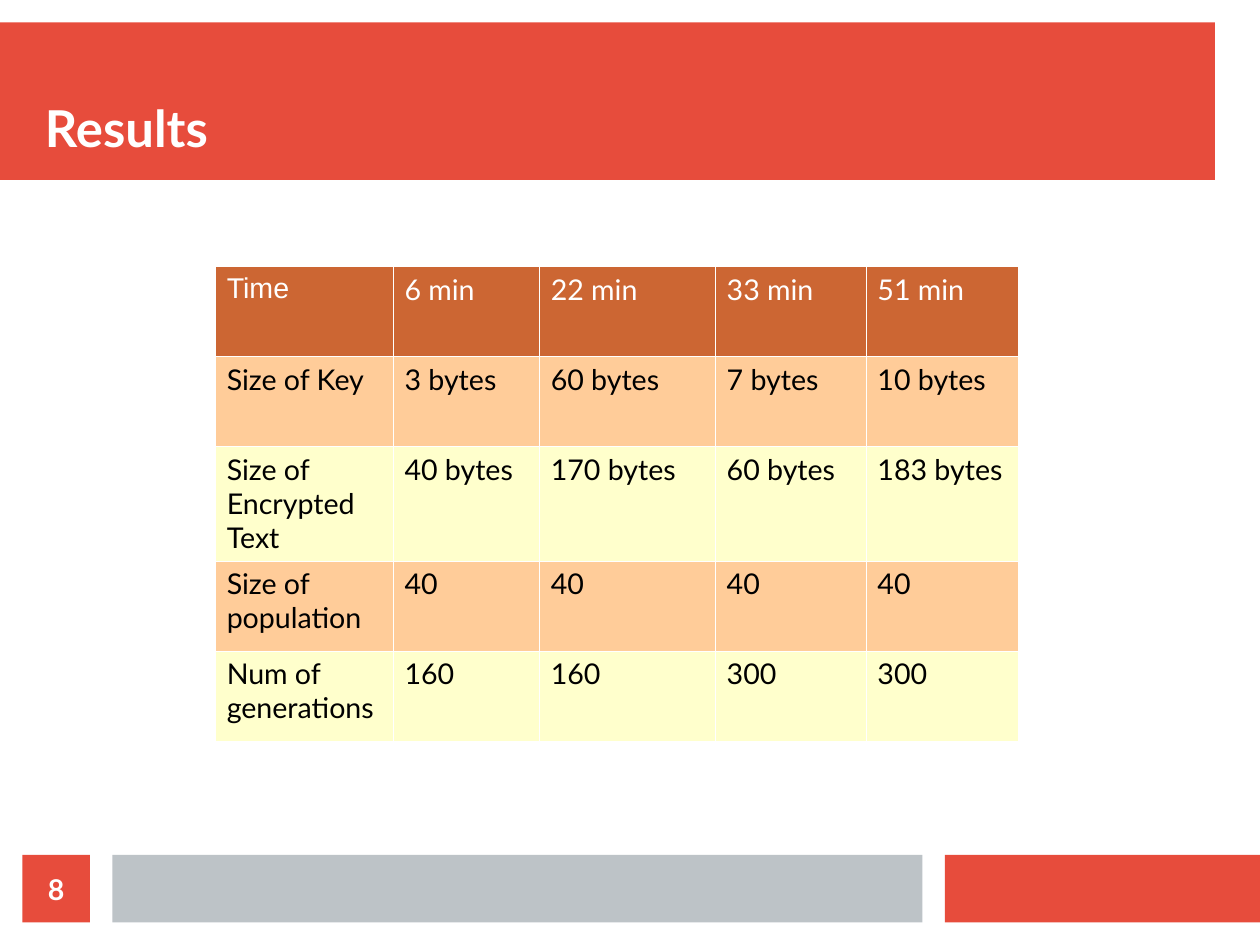
from dataclasses import dataclass

from lxml.etree import SubElement
from pptx import Presentation
from pptx.dml.color import RGBColor
from pptx.enum.shapes import MSO_SHAPE
from pptx.enum.text import MSO_ANCHOR, MSO_AUTO_SIZE, PP_ALIGN
from pptx.oxml.ns import qn
from pptx.util import Cm, Inches, Pt

# Content
TITLE = "Results"
PAGE_NUMBER = "8"
RESULTS = [
    ("Time", "6 min", "22 min", "33 min", "51 min"),
    ("Size of Key", "3 bytes", "60 bytes", "7 bytes", "10 bytes"),
    ("Size of Encrypted Text", "40 bytes", "170 bytes", "60 bytes", "183 bytes"),
    ("Size of population", "40", "40", "40", "40"),
    ("Num of generations", "160", "160", "300", "300"),
]


@dataclass(frozen=True)
class Theme:
    red: str = "E74C3C"
    grey: str = "BDC3C7"
    white: str = "FFFFFF"
    black: str = "000000"
    header: str = "CC6633"
    stripes: tuple = ("FFCC99", "FFFFCC")
    font: str = "Lato"
    corner_font: str = "Arial"
    title_size: int = 32
    body_size: int = 18
    border: float = 0.06


THEME = Theme()

# Layout: the page is 56 columns by 42 rows; boxes are left, top, width, height
WIDTH, HEIGHT = Cm(28), Cm(21)
COLUMNS, ROWS = 56, 42
BANDS = [
    ((0, 1, 54, 7), THEME.red),
    ((42, 38, 14, 3), THEME.red),
    ((5, 38, 36, 3), THEME.grey),
]
TITLE_BOX = (2, 2, 52, 5)
NUMBER_BOX = (1, 38, 3, 3)
TABLE_CORNER = (9.57, 11.84)
TABLE_COLUMNS = (7.9, 6.5, 7.82, 6.7, 6.76)
TABLE_ROW = 4


def across(columns):
    return round(WIDTH * columns / COLUMNS)


def down(rows):
    return round(HEIGHT * rows / ROWS)


def place(box):
    left, top, width, height = box
    return across(left), down(top), across(width), down(height)


def apply(target, values):
    for name, value in values.items():
        setattr(target, name, value)


def write(frame, text, color, size=THEME.body_size, font=THEME.font,
          bold=False, align=PP_ALIGN.LEFT):
    para = frame.paragraphs[0]
    para.alignment = align
    span = para.add_run()
    span.text = text
    apply(span.font, {"name": font, "size": Pt(size), "bold": bold})
    span.font.color.rgb = RGBColor.from_string(color)


def frame_format(anchor):
    return {"margin_left": 0, "margin_right": 0, "margin_top": 0,
            "margin_bottom": 0, "word_wrap": True,
            "auto_size": MSO_AUTO_SIZE.NONE, "vertical_anchor": anchor}


def add_band(page, box, color):
    band = page.shapes.add_shape(MSO_SHAPE.RECTANGLE, *place(box))
    band.shadow.inherit = False
    band.fill.solid()
    band.fill.fore_color.rgb = RGBColor.from_string(color)
    band.line.fill.background()
    return band


def add_title(page):
    title = page.shapes.title
    left, top, width, height = place(TITLE_BOX)
    apply(title, {"left": left, "top": top, "width": width, "height": height})
    apply(title.text_frame, frame_format(MSO_ANCHOR.BOTTOM))
    write(title.text_frame, TITLE, THEME.white, THEME.title_size, bold=True)
    # Bring the title in front of the bands
    page.shapes.element.append(title.element)


def style_cell(cell, fill):
    # Borders come before the fill in the cell properties
    properties = cell._tc.get_or_add_tcPr()
    for side in ("a:lnL", "a:lnR", "a:lnT", "a:lnB"):
        line = SubElement(properties, qn(side), w=str(Pt(THEME.border)))
        solid = SubElement(line, qn("a:solidFill"))
        SubElement(solid, qn("a:srgbClr"), val=THEME.white)
    cell.fill.solid()
    cell.fill.fore_color.rgb = RGBColor.from_string(fill)
    apply(cell, {"margin_left": Inches(0.1), "margin_right": Inches(0.1),
                 "margin_top": Inches(0.05), "margin_bottom": Inches(0.05)})


def add_results(page):
    box = (*TABLE_CORNER, sum(TABLE_COLUMNS), TABLE_ROW * len(RESULTS))
    table = page.shapes.add_table(
        len(RESULTS), len(TABLE_COLUMNS), *place(box)).table
    for column, width in zip(table.columns, TABLE_COLUMNS):
        column.width = across(width)
    for r, values in enumerate(RESULTS):
        table.rows[r].height = down(TABLE_ROW)
        fill = THEME.stripes[(r - 1) % 2] if r else THEME.header
        color = THEME.black if r else THEME.white
        for c, value in enumerate(values):
            cell = table.cell(r, c)
            style_cell(cell, fill)
            font = THEME.corner_font if r == c == 0 else THEME.font
            write(cell.text_frame, value, color, font=font)


def main():
    deck = Presentation()
    apply(deck, {"slide_width": WIDTH, "slide_height": HEIGHT})
    page = deck.slides.add_slide(deck.slide_layouts.get_by_name("Title Only"))

    # Bands, title and table
    for box, color in BANDS:
        add_band(page, box, color)
    add_title(page)
    add_results(page)

    # Page number
    number = add_band(page, NUMBER_BOX, THEME.red)
    apply(number.text_frame, frame_format(MSO_ANCHOR.MIDDLE))
    write(number.text_frame, PAGE_NUMBER, THEME.white, bold=True,
          align=PP_ALIGN.CENTER)

    deck.save("out.pptx")


if __name__ == "__main__":
    main()
